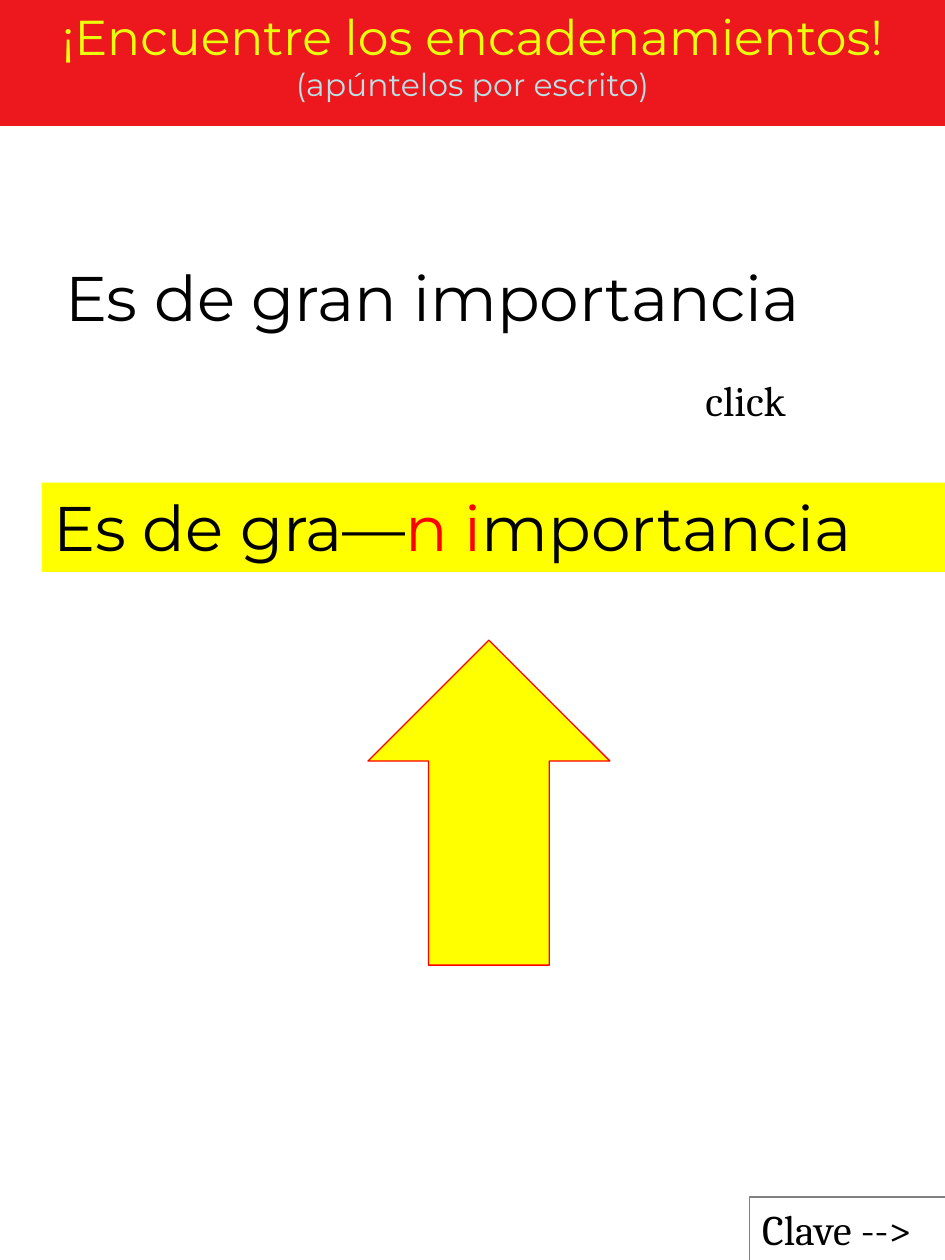
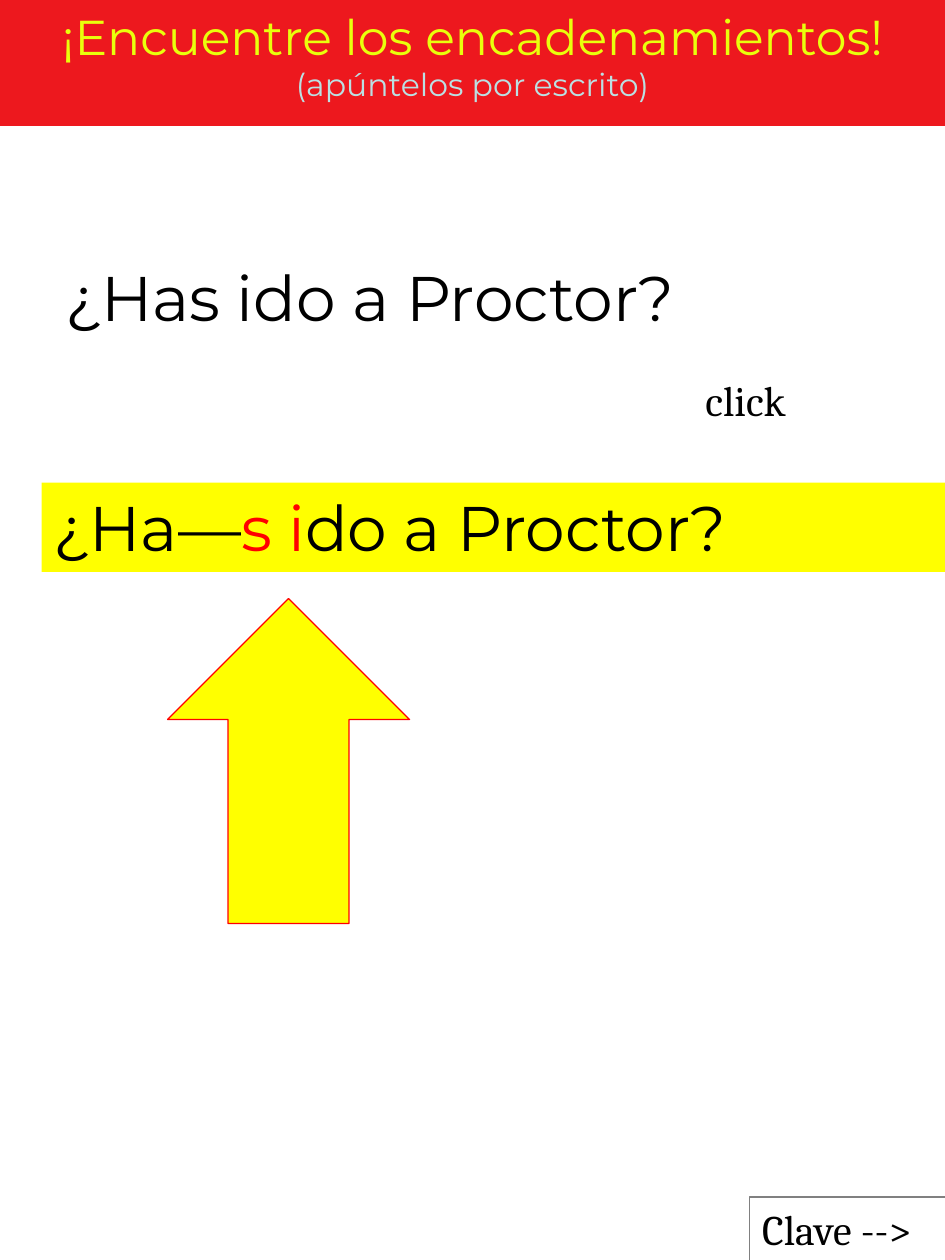
from dataclasses import dataclass

from pptx import Presentation
from pptx.dml.color import RGBColor as RGB
from pptx.enum.shapes import MSO_SHAPE as Shape
from pptx.enum.text import MSO_ANCHOR as Anchor, MSO_AUTO_SIZE as Fit, PP_ALIGN as Align
from pptx.util import Inches, Pt


@dataclass(frozen=True)
class Theme:
    # Colours
    band: str = "ED181E"
    title: str = "E9FF0C"
    hint: str = "BBE0E3"
    ink: str = "000000"
    mark: str = "FFFF00"
    link: str = "FF0000"
    edge: str = "808080"
    # Fonts and type sizes
    sans: str = "Montserrat"
    serif: str = "Cambria"
    head: int = 28
    small: int = 18
    phrase: int = 36
    note: int = 24


def write(frame, *lines, font, size, color, align=Align.LEFT, wrap=True):
    """Fill a frame; a line is a list of (text, overrides) runs."""
    frame.word_wrap = wrap
    frame.auto_size = Fit.NONE
    frame.vertical_anchor = Anchor.TOP
    for i, line in enumerate(lines):
        para = frame.add_paragraph() if i else frame.paragraphs[0]
        para.alignment = align
        for text, extra in line:
            run = para.add_run()
            run.text = text
            run.font.name = font
            run.font.size = Pt(extra.get("size", size))
            run.font.color.rgb = RGB.from_string(extra.get("color", color))


class Deck:
    def __init__(self, theme):
        self.theme = theme
        self.prs = Presentation()
        self.prs.slide_width, self.prs.slide_height = Inches(7.5), Inches(10)
        self.slide = None

    def start(self, title, hint):
        """Add a slide with the red title band."""
        t = self.theme
        self.slide = self.prs.slides.add_slide(self.prs.slide_layouts[5])
        band = self.slide.shapes.title
        band.left, band.top = Inches(0), Inches(0)
        band.width, band.height = Inches(7.5), Inches(1)
        band.fill.solid()
        band.fill.fore_color.rgb = RGB.from_string(t.band)
        write(band.text_frame, [(title, {})],
              [(hint, {"size": t.small, "color": t.hint})],
              font=t.sans, size=t.head, color=t.title, align=Align.CENTER)

    def shape(self, kind, box, fill=None, line=None):
        item = self.slide.shapes.add_shape(kind, *map(Inches, box))
        item.shadow.inherit = False
        if fill:
            item.fill.solid()
            item.fill.fore_color.rgb = RGB.from_string(fill)
        else:
            item.fill.background()
        if line:
            item.line.color.rgb = RGB.from_string(line)
            item.line.width = Pt(0.75)
        else:
            item.line.fill.background()
        return item

    def label(self, text, box, font, size):
        item = self.slide.shapes.add_textbox(*map(Inches, box))
        write(item.text_frame, [(text, {})], font=font, size=size,
              color=self.theme.ink)

    def key(self, text):
        """Boxed pointer in the bottom right corner."""
        t = self.theme
        item = self.shape(Shape.RECTANGLE, (5.95, 9.5, 1.57, 0.51), line=t.edge)
        write(item.text_frame, [(text, {})], font=t.serif, size=t.note,
              color=t.ink, wrap=False)

    def answer(self, before, link, after):
        """Yellow strip with the linked sounds in red."""
        t = self.theme
        item = self.shape(Shape.RECTANGLE, (0.33, 3.83, 7.17, 0.71), fill=t.mark)
        write(item.text_frame,
              [(before, {}), (link, {"color": t.link}), (after, {})],
              font=t.sans, size=t.phrase, color=t.ink)

    def arrow(self, left, top):
        self.shape(Shape.UP_ARROW, (left, top, 1.92, 2.58),
                   fill=self.theme.mark, line=self.theme.link)


# Phrase, answer parts, arrow corner
DRILLS = [
    ("Es de gran importancia", ("Es de gra—", "n i", "mportancia"), (2.92, 5.08)),
    ("¿Has ido a Proctor?", ("¿Ha—", "s i", "do a Proctor?"), (1.33, 4.75)),
]


def main():
    theme = Theme()
    deck = Deck(theme)
    for phrase, parts, spot in DRILLS:
        # Shared frame
        deck.start("¡Encuentre los encadenamientos!", "(apúntelos por escrito)")
        deck.key("Clave -->")
        # Phrase and its answer
        deck.label(phrase, (0.42, 2, 6.62, 0.71), theme.sans, theme.phrase)
        deck.answer(*parts)
        deck.arrow(*spot)
        deck.label("click", (5.5, 2.92, 1.41, 0.5), theme.serif, theme.note)
    deck.prs.save("out.pptx")


if __name__ == "__main__":
    main()
